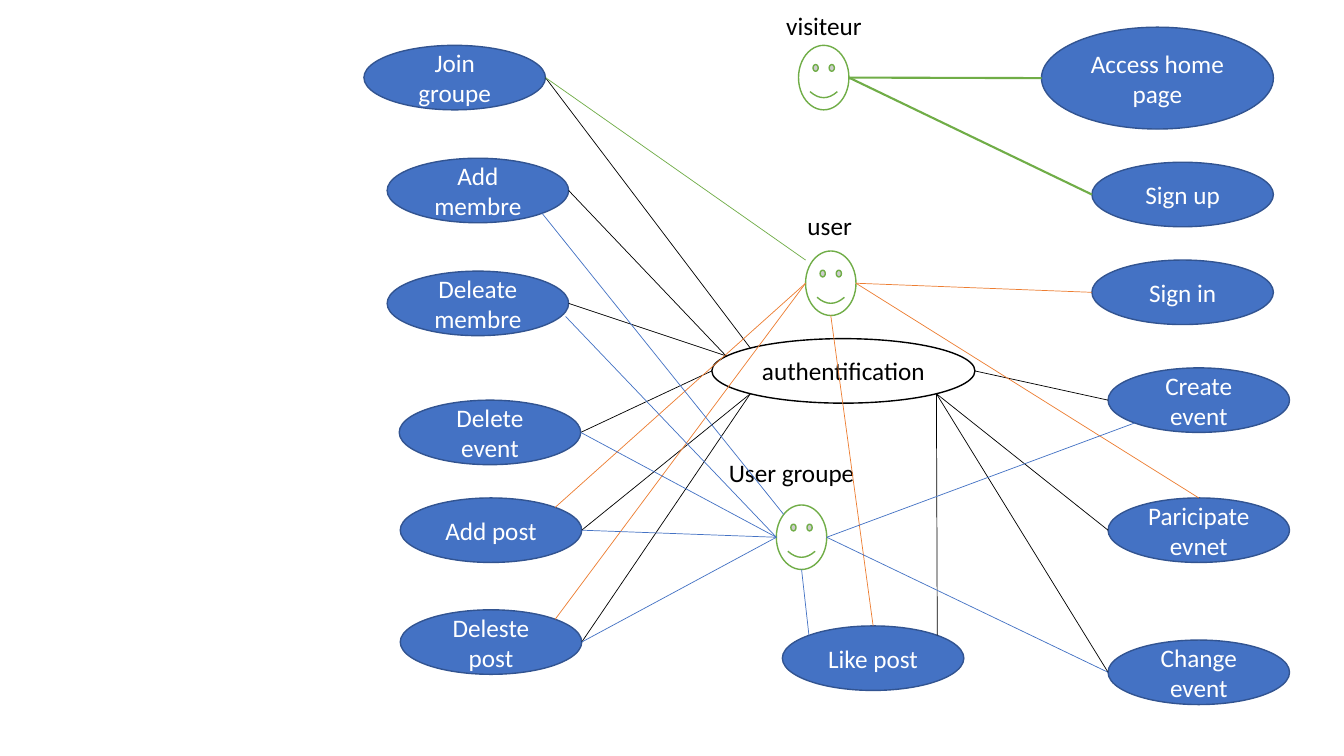
from math import sqrt
from lxml import etree
from pptx import Presentation
from pptx.dml.color import RGBColor
from pptx.enum import shapes, text
from pptx.oxml import ns
from pptx.util import Inches, Pt

COLORS = {"white": "FFFFFF", "black": "000000", "blue": "4472C4",
          "navy": "325491", "green": "70AD47", "orange": "ED7D31"}
FONT, TEXT_SIZE = "Calibri", 18
ACTOR_SIZE, CASE_SIZE = (0.5, 0.64), (1.8, 0.64)

# Actor: face position, then label box
ACTORS = {
    "visiteur": ((7.92, 0.45), (7.7, 0.05, 0.96, 0.4)),
    "user": ((7.99, 2.49), (7.91, 2.04, 0.65, 0.4)),
    "User groupe": ((7.7, 5.01), (7.13, 4.49, 1.46, 0.4)),
}
# Use case: left, top and, where it is not the usual one, size
CASES = {
    "Access home page": (10.33, 0.27, 2.3, 1.01),
    "Sign in": (10.83, 2.58),
    "Sign up": (10.83, 1.61),
    "Create event": (10.99, 3.65),
    "Paricipate evnet": (10.99, 4.94),
    "Join groupe": (3.61, 0.45),
    "Add membre": (3.84, 1.57),
    "Deleate membre": (3.84, 2.69),
    "Delete event": (3.96, 3.97),
    "Add post": (3.97, 4.94),
    "Deleste post": (3.97, 6.05),
    "Like post": (7.76, 6.21),
    "Change event": (10.99, 6.35),
    "authentification": (7.06, 3.36, 2.61, 0.64),
}
# (colour, width): links, each end a shape with its compass site, or a free point
LINKS = {
    ("black", 0.5): [
        (("Join groupe", "E"), ("authentification", "NW")),
        (("Add membre", "E"), (7.2, 3.53)),
        (("Deleate membre", "E"), (7.2, 3.53)),
        (("Delete event", "E"), ("authentification", "W")),
        (("Add post", "E"), ("authentification", "SW")),
        (("Deleste post", "E"), ("authentification", "SW")),
        (("Like post", "NE"), ("authentification", "SE")),
        (("Change event", "W"), ("authentification", "SE")),
        (("Paricipate evnet", "W"), ("authentification", "SE")),
        (("Create event", "W"), ("authentification", "E")),
    ],
    ("green", 1.5): [
        (("visiteur", "E"), ("Access home page", "W")),
        (("visiteur", "E"), ("Sign up", "W")),
    ],
    ("green", 0.5): [((7.99, 2.58), ("Join groupe", "E"))],
    ("orange", 0.5): [
        (("user", "E"), ("Sign in", "W")),
        (("user", "E"), ("Paricipate evnet", "N")),
        (("user", "S"), ("Like post", "N")),
        (("user", "W"), ("Add post", "NE")),
        (("user", "W"), ("Deleste post", "NE")),
    ],
    ("blue", 0.5): [
        (("User groupe", "S"), ("Like post", "NW")),
        (("User groupe", "E"), ("Change event", "W")),
        (("User groupe", "E"), ("Create event", "SW")),
        (("User groupe", "W"), ("Deleste post", "E")),
        (("User groupe", "W"), ("Add post", "E")),
        (("User groupe", "W"), ("Delete event", "E")),
        (("User groupe", "W"), (5.61, 3.14)),
        (("User groupe", "NW"), ("Add membre", "SE")),
    ],
}


def rgb(name):
    """Return the colour of that name."""
    return RGBColor.from_string(COLORS[name])


def write(shape, words, color):
    """Put one styled paragraph in a shape and return it."""
    paragraph = shape.text_frame.paragraphs[0]
    paragraph.text = words
    paragraph.font.name, paragraph.font.size = FONT, Pt(TEXT_SIZE)
    paragraph.font.color.rgb = rgb(color)
    return paragraph


def add_figure(slide, kind, box, fill, line):
    """Add a filled and outlined preset shape."""
    shape = slide.shapes.add_shape(kind, *map(Inches, box))
    shape.shadow.inherit = False
    shape.fill.solid()
    shape.fill.fore_color.rgb = rgb(fill)
    shape.line.color.rgb = rgb(line)
    shape.line.width = Pt(1)
    return shape


def add_label(slide, words, box):
    """Add an actor's name above its face."""
    label = slide.shapes.add_textbox(*map(Inches, box))
    label.text_frame.word_wrap = False
    label.text_frame.auto_size = text.MSO_AUTO_SIZE.SHAPE_TO_FIT_TEXT
    write(label, words, "black")


def add_case(slide, words, box):
    """Add a use case; authentification stands out in white."""
    if words == "authentification":
        fill, line, color = "white", "black", "black"
    else:
        fill, line, color = "blue", "navy", "white"
    ellipse = add_figure(slide, shapes.MSO_SHAPE.OVAL, box, fill, line)
    ellipse.text_frame.word_wrap = True
    ellipse.text_frame.vertical_anchor = text.MSO_ANCHOR.MIDDLE
    write(ellipse, words, color).alignment = text.PP_ALIGN.CENTER


def locate(end, boxes):
    """Return the point of a link's end, on the ellipse of its shape."""
    if end[0] not in boxes:
        return end
    left, top, width, height = boxes[end[0]]
    site = end[1]
    reach = 0.5 / sqrt(len(site))
    across = ("E" in site) - ("W" in site)
    down = ("S" in site) - ("N" in site)
    return (left + width * (0.5 + reach * across),
            top + height * (0.5 + reach * down))


def add_link(slide, start, finish, color, width):
    """Add a straight line between two points."""
    connector = slide.shapes.add_connector(
        shapes.MSO_CONNECTOR.STRAIGHT, *map(Inches, start + finish))
    connector.line.color.rgb = rgb(color)
    connector.line.width = Pt(width)
    etree.SubElement(connector._element.spPr, ns.qn("a:effectLst"))


presentation = Presentation()
presentation.slide_width, presentation.slide_height = Inches(13.33), Inches(7.5)
slide = presentation.slides.add_slide(presentation.slide_layouts[6])

boxes = {name: face + ACTOR_SIZE for name, (face, _) in ACTORS.items()}
for name in ACTORS:
    add_figure(slide, shapes.MSO_SHAPE.SMILEY_FACE, boxes[name], "white", "green")
for name, (_, label_box) in ACTORS.items():
    add_label(slide, name, label_box)
for name, place in CASES.items():
    boxes[name] = place if len(place) == 4 else place + CASE_SIZE
    add_case(slide, name, boxes[name])
for (color, width), links in LINKS.items():
    for start, finish in links:
        add_link(slide, locate(start, boxes), locate(finish, boxes), color, width)

presentation.save("out.pptx")
